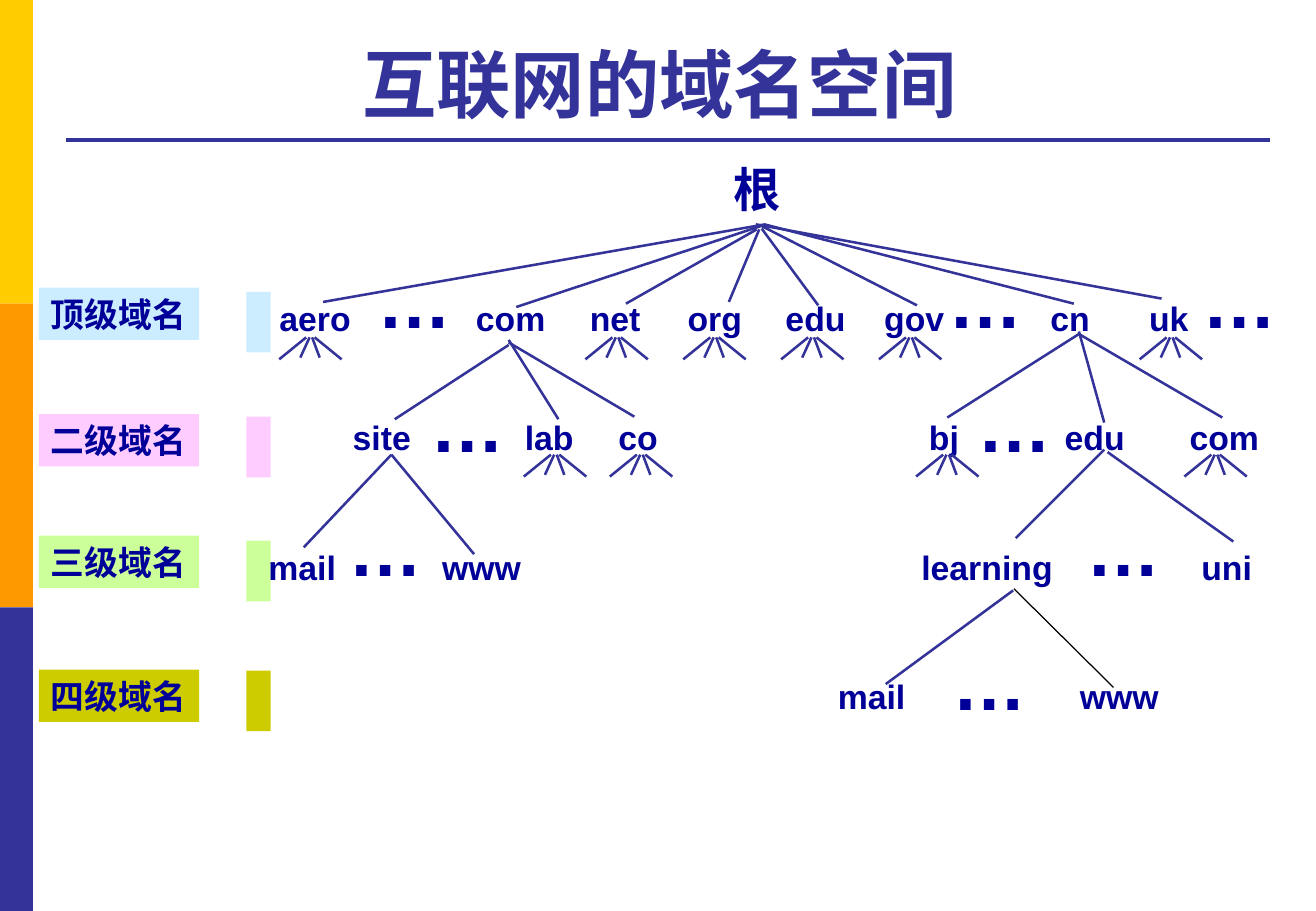
from dataclasses import dataclass
from itertools import chain
from typing import Any

from lxml.etree import SubElement
from pptx import Presentation
from pptx.dml.color import RGBColor
from pptx.enum.shapes import MSO_CONNECTOR, MSO_SHAPE
from pptx.enum.text import MSO_ANCHOR, PP_ALIGN
from pptx.oxml.ns import qn
from pptx.util import Pt

FONT = "Arial"
INDIGO = RGBColor(0x33, 0x33, 0x99)
NAVY = RGBColor(0x00, 0x00, 0x99)
BLACK = RGBColor(0x00, 0x00, 0x00)
WHITE = RGBColor(0xFF, 0xFF, 0xFF)
YELLOW = RGBColor(0xFF, 0xCC, 0x00)
ORANGE = RGBColor(0xFF, 0x99, 0x00)
SKY = RGBColor(0xCC, 0xEC, 0xFF)
PINK = RGBColor(0xFF, 0xCC, 0xFF)
LIME = RGBColor(0xCC, 0xFF, 0x99)
OLIVE = RGBColor(0xCC, 0xCC, 0x00)


@dataclass(frozen=True)
class Area:
    left: float
    top: float
    width: float
    height: float


@dataclass(frozen=True)
class Stroke:
    start: tuple[float, float]
    end: tuple[float, float]
    color: RGBColor = INDIGO
    width: float = 1.5


@dataclass(frozen=True)
class Domain:
    text: str
    left: float
    width: float


@dataclass(frozen=True)
class Level:
    title: str
    color: RGBColor
    title_top: float
    marker_top: float
    domain_top: float
    dots_top: float
    domains: tuple[Domain, ...]
    dots: tuple[float, ...]


LEVELS = (
    Level("顶级域名", SKY, 170.5, 173, 173, 147, (
        Domain("aero", 158.5, 57), Domain("com", 275, 56), Domain("net", 342.5, 45),
        Domain("org", 400.5, 47), Domain("edu", 458.5, 50), Domain("gov", 517, 50),
        Domain("cn", 615.5, 38), Domain("uk", 674, 38)), (216.5, 555, 705.5)),
    Level("二级域名", PINK, 245.5, 247, 243.5, 220.5, (
        Domain("site", 202, 55), Domain("lab", 304, 50), Domain("co", 359.5, 40),
        Domain("bj", 543.5, 32), Domain("edu", 624, 50), Domain("com", 698, 56)),
        (248, 572.5)),
    Level("三级域名", LIME, 317.5, 320.5, 320.5, 294.5, (
        Domain("mail", 152, 55), Domain("www", 255, 61), Domain("learning", 539, 99),
        Domain("uni", 705, 50)), (199.5, 637)),
    Level("四级域名", OLIVE, 397, 397.5, 397, 373.5, (
        Domain("mail", 489.5, 55), Domain("www", 633, 61)), (557.5,)),
)

BRANCHES = (
    Stroke((451, 134), (306, 182)), Stroke((448.5, 136), (371, 180)),
    Stroke((450, 136), (432, 179)), Stroke((451.5, 135.5), (485, 181)),
    Stroke((451.5, 134), (543.5, 181)), Stroke((453, 133), (636.5, 180)),
    Stroke((453.5, 133), (191.5, 179)), Stroke((448, 133), (688.5, 177)),
    Stroke((301.5, 201.5), (331, 248.5)), Stroke((301.5, 203), (376, 247)),
    Stroke((301.5, 204.5), (234, 248.5)), Stroke((639.5, 196.5), (654.5, 250.5)),
    Stroke((639.5, 198), (724.5, 247.5)), Stroke((639.5, 198), (561.5, 247.5)),
    Stroke((232, 269.5), (180, 324.5)), Stroke((232, 269.5), (281, 328.5)),
    Stroke((654.5, 266.5), (602, 319)), Stroke((656.5, 268), (731, 321)),
    Stroke((600.5, 350), (525, 405.5)), Stroke((601, 349), (660, 407.5), BLACK, 0.75),
)

FAN_CENTERS = {
    200: (184, 365.5, 423.5, 481.5, 539.5, 694),
    269.5: (329, 380, 561.5, 720.5),
}
FAN_RAYS = ((2.5, 18.5, 13), (1, 5.5, 12), (-2.5, -18.5, 13), (-0.5, -6, 12))


def apply(target: Any, values: dict[str, Any]) -> None:
    for name, value in values.items():
        setattr(target, name, value)


def place(area: Area) -> tuple[Pt, Pt, Pt, Pt]:
    return Pt(area.left), Pt(area.top), Pt(area.width), Pt(area.height)


def draw_block(page: Any, area: Area, color: RGBColor) -> Any:
    block = page.shapes.add_shape(MSO_SHAPE.RECTANGLE, *place(area))
    block.shadow.inherit = False
    block.fill.solid()
    block.fill.fore_color.rgb = color
    block.line.fill.background()
    return block


def write(box: Any, text: str, size: float, color: RGBColor = NAVY,
          align: PP_ALIGN = PP_ALIGN.LEFT, anchor: MSO_ANCHOR = MSO_ANCHOR.TOP) -> None:
    apply(box.text_frame, {"word_wrap": False, "vertical_anchor": anchor})
    para = box.text_frame.paragraphs[0]
    para.alignment = align
    span = para.add_run()
    span.text = text
    apply(span.font, {"name": FONT, "size": Pt(size), "bold": True})
    span.font.color.rgb = color
    SubElement(span.font._element, qn("a:ea")).set("typeface", FONT)


def draw_text(page: Any, area: Area, text: str, size: float, **style: Any) -> None:
    write(page.shapes.add_textbox(*place(area)), text, size, **style)


def draw_stroke(page: Any, stroke: Stroke) -> None:
    ends = (Pt(value) for value in chain(stroke.start, stroke.end))
    line = page.shapes.add_connector(MSO_CONNECTOR.STRAIGHT, *ends)
    line.line.color.rgb = stroke.color
    line.line.width = Pt(stroke.width)
    SubElement(line._element.spPr, qn("a:effectLst"))


def draw_fan(page: Any, center: float, top: float) -> None:
    for start, end, drop in FAN_RAYS:
        draw_stroke(page, Stroke((center + start, top), (center + end, top + drop)))


def draw_level(page: Any, level: Level) -> None:
    draw_block(page, Area(146, level.marker_top, 14.5, 36), level.color)
    title = draw_block(page, Area(23, level.title_top, 95, 31), level.color)
    write(title, level.title, 20)
    for domain in level.domains:
        area = Area(domain.left, level.domain_top, domain.width, 31.5)
        draw_text(page, area, domain.text, 20)
    for left in level.dots:
        draw_text(page, Area(left, level.dots_top, 59, 60.5), "…", 44)


deck = Presentation()
apply(deck, {"slide_width": Pt(780), "slide_height": Pt(540)})
page = deck.slides.add_slide(deck.slide_layouts[6])

for index, color in enumerate((YELLOW, ORANGE, INDIGO)):
    draw_block(page, Area(0, index * 180, 19.5, 180), color)
draw_stroke(page, Stroke((39, 83), (753, 83), width=2.25))
draw_text(page, Area(34.5, 15, 713, 64), "互联网的域名空间", 44, color=INDIGO,
          align=PP_ALIGN.CENTER, anchor=MSO_ANCHOR.BOTTOM)
root = draw_block(page, Area(427, 94.5, 44, 34.5), WHITE)
write(root, "根", 28, align=PP_ALIGN.CENTER, anchor=MSO_ANCHOR.MIDDLE)

for level in LEVELS:
    draw_level(page, level)
for branch in BRANCHES:
    draw_stroke(page, branch)
for top, centers in FAN_CENTERS.items():
    for center in centers:
        draw_fan(page, center, top)

deck.save("out.pptx")
